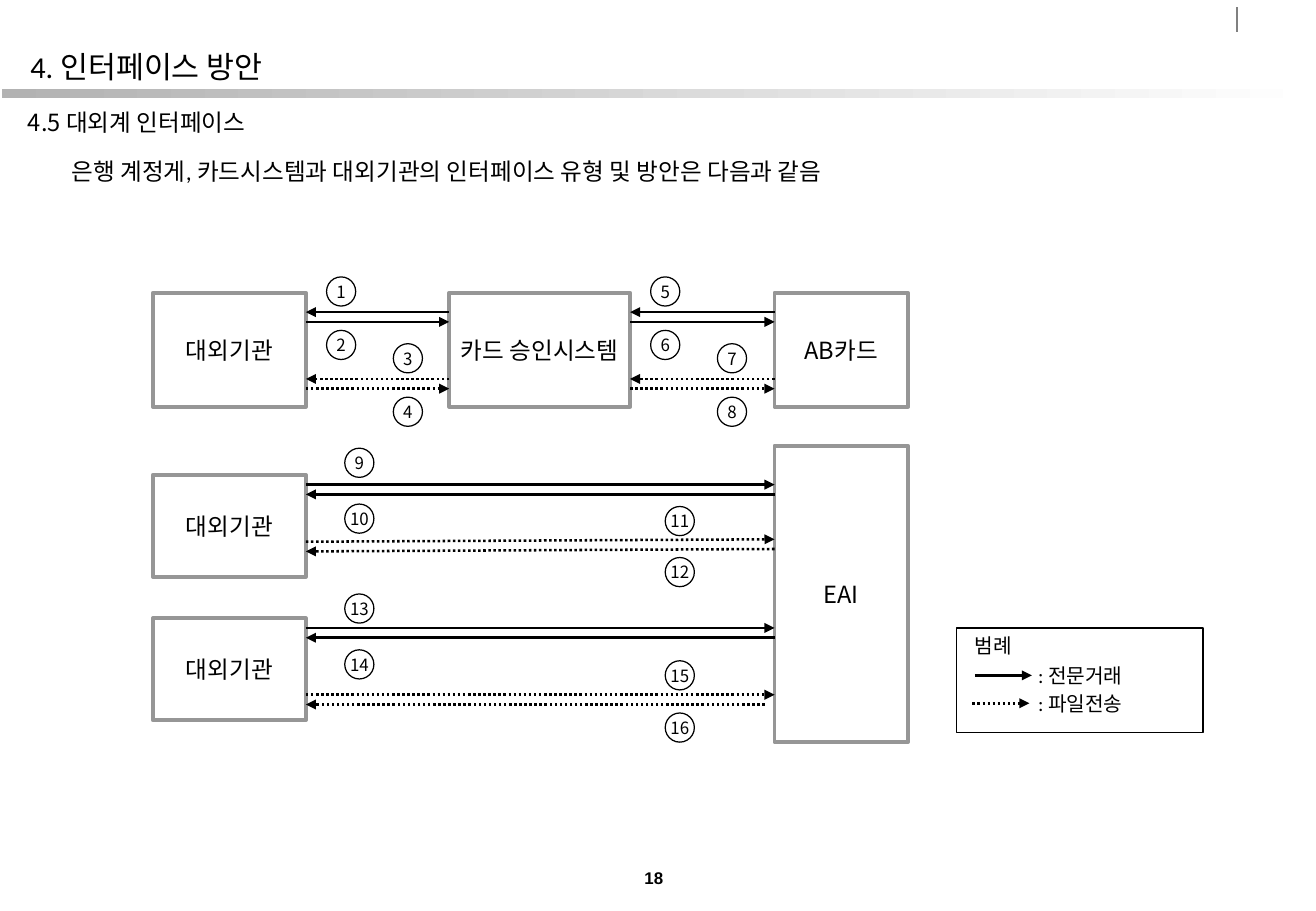
from dataclasses import dataclass

from lxml import etree
from pptx import Presentation, util as u
from pptx.dml.color import RGBColor
from pptx.enum import dml, shapes, text
from pptx.oxml import ns

COLORS = {"ink": "000000", "paper": "FFFFFF", "frame": "969696",
          "band": "B2B2B2", "tick": "808080"}
SANS, BODY, NUMERAL = "Noto Sans CJK KR", "Calibri", "Arial"

# Columns are (left, width) and rows are (top, height), in inches
COLUMNS = {"agency": (1.26, 1.26), "approval": (3.7, 1.49), "hub": (6.38, 1.1)}
ROWS = {"card": (2.41, 0.94), "agency 2": (3.91, 0.84),
        "agency 3": (5.09, 0.84), "eai": (3.67, 2.44)}
SYSTEMS = [("agency", "card", "대외기관"), ("approval", "card", "카드 승인시스템"),
           ("hub", "card", "AB카드"), ("agency", "agency 2", "대외기관"),
           ("agency", "agency 3", "대외기관"), ("hub", "eai", "EAI")]
ARROW_GAP = 0.08
BADGE = 0.24


@dataclass
class Exchange:
    """A pair of opposite arrows with a numbered badge above and below."""
    number: int
    source: str
    target: str
    top: float
    badge_left: float
    badge_tops: tuple
    dotted: bool = False
    outward_first: bool = True
    rise: float = 0
    shortfall: float = 0


EXCHANGES = [
    Exchange(1, "agency", "approval", 2.57, 2.69, (2.28, 2.72), outward_first=False),
    Exchange(3, "agency", "approval", 3.12, 3.24, (2.83, 3.27), True, False),
    Exchange(5, "approval", "hub", 2.57, 5.36, (2.28, 2.72), outward_first=False),
    Exchange(7, "approval", "hub", 3.12, 5.91, (2.83, 3.27), True, False),
    Exchange(9, "agency", "hub", 3.99, 2.84, (3.69, 4.15)),
    Exchange(11, "agency", "hub", 4.46, 5.48, (4.17, 4.59), True, rise=0.02),
    Exchange(13, "agency", "hub", 5.17, 2.84, (4.89, 5.35)),
    Exchange(15, "agency", "hub", 5.72, 5.48, (5.44, 5.87), True, shortfall=0.08),
]


def rgb(name):
    return RGBColor.from_string(COLORS[name])


def inches(*lengths):
    return [u.Inches(length) for length in lengths]


def write(shape, runs, size, align=text.PP_ALIGN.CENTER, inset=(0, 0),
          anchor=text.MSO_ANCHOR.MIDDLE, wrap=False, bold=False):
    """Fill a shape with one paragraph of (words, font) runs."""
    frame = shape.text_frame
    frame.word_wrap = wrap
    frame.auto_size = text.MSO_AUTO_SIZE.NONE
    frame.vertical_anchor = anchor
    frame.margin_left = frame.margin_right = u.Inches(inset[0])
    frame.margin_top = frame.margin_bottom = u.Inches(inset[1])
    paragraph = frame.paragraphs[0]
    properties = paragraph._p.get_or_add_pPr()
    properties.set("marL", "0")
    properties.set("indent", "0")
    etree.SubElement(properties, ns.qn("a:buNone"))
    paragraph.alignment = align
    paragraph.space_before = u.Pt(0)
    for words, font in runs:
        run = paragraph.add_run()
        run.text = words
        run.font.size, run.font.name, run.font.bold = u.Pt(size), font, bold
        run.font.color.rgb = rgb("ink")
        east_asian = etree.SubElement(run._r.get_or_add_rPr(), ns.qn("a:ea"))
        east_asian.set("typeface", SANS)


def add_outline(slide, kind, area, line, weight, fill=None):
    shape = slide.shapes.add_shape(kind, *inches(*area))
    shape.shadow.inherit = False
    shape.line.color.rgb, shape.line.width = rgb(line), u.Pt(weight)
    if fill:
        shape.fill.solid()
        shape.fill.fore_color.rgb = rgb(fill)
    else:
        shape.fill.background()
    return shape


def add_line(slide, start, end, color="ink", weight=1.5, dotted=False, arrow=True):
    line = slide.shapes.add_connector(shapes.MSO_CONNECTOR.STRAIGHT,
                                      *inches(*start, *end))
    line.line.color.rgb, line.line.width = rgb(color), u.Pt(weight)
    if dotted:
        line.line.dash_style = dml.MSO_LINE.ROUND_DOT
    if arrow:
        head = etree.SubElement(line.line._get_or_add_ln(), ns.qn("a:tailEnd"))
        head.set("type", "triangle")
    etree.SubElement(line._element.spPr, ns.qn("a:effectLst"))


def add_label(slide, area, words, size=12, font=BODY, bold=False):
    label = slide.shapes.add_textbox(*inches(*area))
    write(label, [(words, font)], size, bold=bold)


def add_system(slide, column, row, name):
    (left, width), (top, height) = COLUMNS[column], ROWS[row]
    box = add_outline(slide, shapes.MSO_SHAPE.RECTANGLE,
                      (left, top, width, height), "frame", 2.25, "paper")
    write(box, [(name, SANS)], 14)


def add_exchange(slide, link):
    left = sum(COLUMNS[link.source])
    right = COLUMNS[link.target][0]
    for step, badge_top in enumerate(link.badge_tops):
        y = link.top + step * ARROW_GAP
        start = (left, y)
        end = (right - step * link.shortfall, y - link.rise)
        outward = link.outward_first == (step == 0)
        ends = (start, end) if outward else (end, start)
        add_line(slide, *ends, dotted=link.dotted)
        badge = add_outline(slide, shapes.MSO_SHAPE.OVAL,
                            (link.badge_left, badge_top, BADGE, BADGE), "ink", 0.75)
        write(badge, [(str(link.number + step), SANS)], 10)


def add_legend(slide):
    add_outline(slide, shapes.MSO_SHAPE.RECTANGLE, (7.88, 5.17, 2.03, 0.86), "ink", 1)
    add_label(slide, (8.02, 5.21, 0.32, 0.2), "범례")
    entries = [(": 전문거래", 8.03, 5.56, False), (": 파일전송", 8.01, 5.79, True)]
    for meaning, left, y, dotted in entries:
        add_line(slide, (left, y), (left + 0.47, y), dotted=dotted)
        add_label(slide, (8.51, y - 0.1, 0.78, 0.2), meaning)


def add_page_furniture(slide):
    band = slide.shapes.add_shape(shapes.MSO_SHAPE.RECTANGLE,
                                  *inches(0.02, 0.73, 10.83, 0.08))
    band.shadow.inherit = False
    band.line.fill.background()
    band.fill.gradient()
    band.fill.gradient_angle = 180
    for stop, color in zip(band.fill.gradient_stops, ("paper", "band")):
        stop.color.rgb = rgb(color)
    add_line(slide, (10.19, 0.06), (10.19, 0.26), "tick", 1, arrow=False)
    add_label(slide, (5.09, 7.11, 0.59, 0.24), "18", 10, NUMERAL, True)


def add_headings(slide):
    title, section, summary = slide.placeholders
    headings = [
        (title, (0.15, 0.35, 9.91, 0.4), 18, (0.1, 0.05), text.MSO_ANCHOR.MIDDLE,
         [("4. 인터페이스 방안", BODY)]),
        (section, (0.16, 0.86, 10.3, 0.29), 14, (0.07, 0.03), text.MSO_ANCHOR.TOP,
         [("4.5 ", SANS), ("대외계", BODY), (" 인터페이스", SANS)]),
        (summary, (0.52, 1.26, 9.9, 0.29), 14, (0.07, 0.03), text.MSO_ANCHOR.TOP,
         [("은행 계정게, 카드시스템과 대외기관의 인터페이스 유형 및 방안은 다음과 같음", BODY)]),
    ]
    for holder, area, size, inset, anchor, runs in headings:
        holder.left, holder.top, holder.width, holder.height = inches(*area)
        write(holder, runs, size, text.PP_ALIGN.LEFT, inset, anchor, wrap=True)


def main():
    deck = Presentation()
    deck.slide_width, deck.slide_height = inches(10.84, 7.5)
    slide = deck.slides.add_slide(deck.slide_layouts[3])

    # Headings and page frame
    add_page_furniture(slide)
    add_headings(slide)

    # Interface diagram
    for system in SYSTEMS:
        add_system(slide, *system)
    for link in EXCHANGES:
        add_exchange(slide, link)
    add_legend(slide)

    deck.save("out.pptx")


if __name__ == "__main__":
    main()
